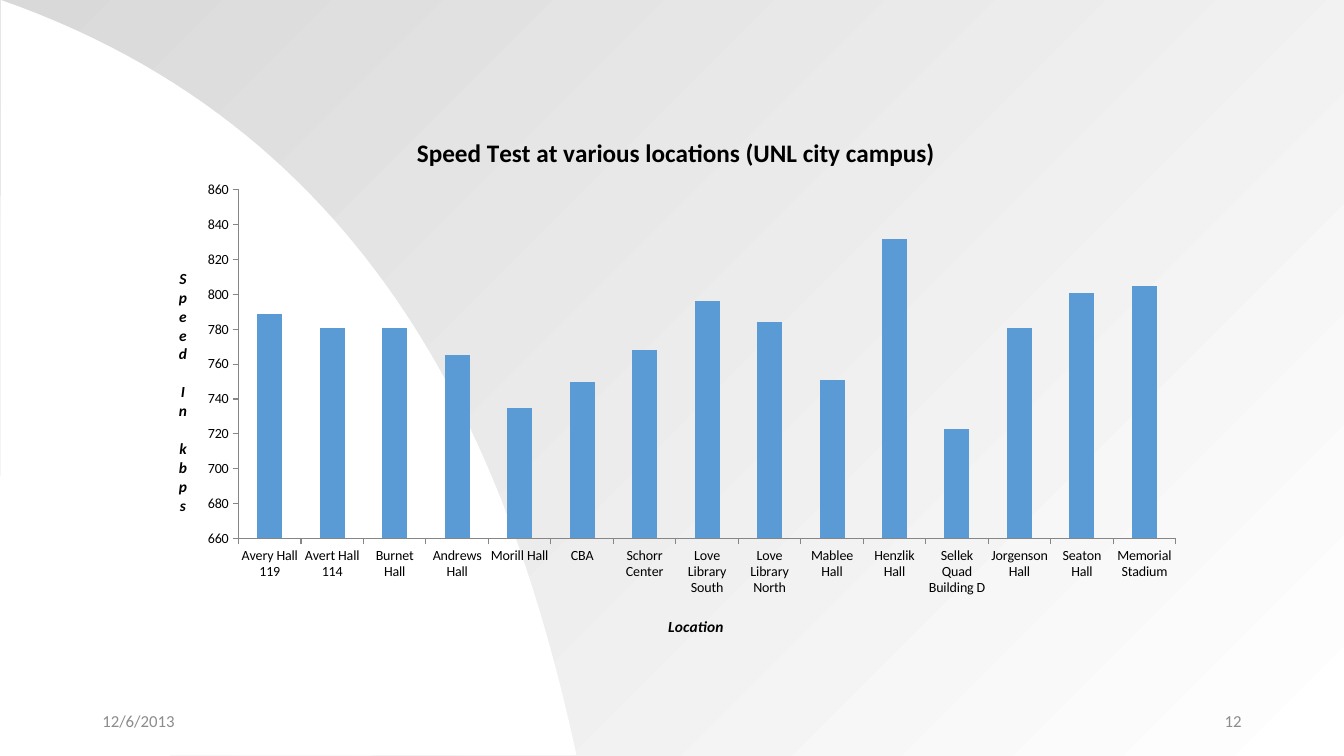
import pptx
import pptx.chart.data
import pptx.dml.color
import pptx.enum.chart
import pptx.enum.text
import pptx.oxml
import pptx.oxml.ns
import pptx.util

Pt = pptx.util.Pt

COLORS = {"white": "FFFFFF", "shade": "D9D9D9", "bar": "5B9BD5",
          "axis": "868686", "text": "000000", "footer": "8C8C8C"}
FONT = "Calibri"
SLIDE_SIZE = (960, 540)

TITLE = "Speed Test at various locations (UNL city campus)"
LOCATION_TITLE = "Location"
SPEED_TITLE = "Speed In kbps"
SPEEDS = {
    "Avery Hall 119": 789, "Avert Hall 114": 781, "Burnet Hall": 781,
    "Andrews Hall": 765, "Morill Hall": 735, "CBA": 750,
    "Schorr Center": 768, "Love Library South": 796,
    "Love Library North": 784, "Mablee Hall": 751, "Henzlik Hall": 832,
    "Sellek Quad Building D": 723, "Jorgenson Hall": 781,
    "Seaton Hall": 801, "Memorial Stadium": 805,
}
CHART_BOX = (110.9, 82.1, 743.8, 383)
# Fractions of the chart area
PLOT_LAYOUT = {"x": 0.08, "y": 0.14, "w": 0.9, "h": 0.65}
LOCATION_LAYOUT = {"x": 0.49, "y": 0.93}
SPEED_LAYOUT = {"x": 0.02, "y": 0.28}

FOOTERS = [
    ("12/6/2013", 66, pptx.enum.text.PP_ALIGN.LEFT),
    ("12", 678, pptx.enum.text.PP_ALIGN.RIGHT),
]
FOOTER_TOP, FOOTER_WIDTH, FOOTER_HEIGHT = 500.5, 216, 28.8

SWEEP = [(0.5, 0), (278.6, 97.2), (367.9, 337.7), (411.8, 539.5)]
SWEEP_STEPS = 60


def rgb(name):
    return pptx.dml.color.RGBColor.from_string(COLORS[name])


def apply_format(target, values):
    for name, value in values.items():
        setattr(target, name, value)


def bezier_point(controls, t):
    weights = ((1 - t) ** 3, 3 * t * (1 - t) ** 2, 3 * t ** 2 * (1 - t), t ** 3)
    return tuple(sum(w * point[axis] for w, point in zip(weights, controls))
                 for axis in (0, 1))


def place(element, index, fractions):
    """Give a chart part a manual layout, as child number index."""
    for old in element.xpath("./c:layout"):
        element.remove(old)
    modes = "".join(f'<c:{k}Mode val="edge"/>' for k in ("x", "y"))
    target = '<c:layoutTarget val="inner"/>' if "w" in fractions else ""
    sizes = "".join(f'<c:{k} val="{v}"/>' for k, v in fractions.items())
    element.insert(index, pptx.oxml.parse_xml(
        f'<c:layout {pptx.oxml.ns.nsdecls("c")}><c:manualLayout>'
        f'{target}{modes}{sizes}</c:manualLayout></c:layout>'))


def add_background(slide):
    fill = slide.background.fill
    fill.gradient()
    fill.gradient_angle = 135
    for stop, position, name in zip(fill.gradient_stops, (0, 1), ("white", "shade")):
        stop.position = position
        stop.color.rgb = rgb(name)

    curve = [bezier_point(SWEEP, i / SWEEP_STEPS) for i in range(SWEEP_STEPS + 1)]
    outline = [(Pt(x), Pt(y)) for x, y in curve + [(0, SLIDE_SIZE[1])]]
    builder = slide.shapes.build_freeform(*outline[0])
    builder.add_line_segments(outline[1:], close=True)
    sweep = builder.convert_to_shape()
    sweep.shadow.inherit = False
    sweep.fill.solid()
    sweep.fill.fore_color.rgb = rgb("white")
    sweep.line.fill.background()


def set_title(title, wording, values):
    title.text_frame.text = wording
    font = title.text_frame.paragraphs[0].runs[0].font
    apply_format(font, {"name": FONT, "bold": True, **values})
    font.color.rgb = rgb("text")


def add_speed_chart(slide):
    data = pptx.chart.data.CategoryChartData()
    data.categories = list(SPEEDS)
    data.add_series("Series 1", list(SPEEDS.values()))
    chart = slide.shapes.add_chart(
        pptx.enum.chart.XL_CHART_TYPE.COLUMN_CLUSTERED,
        *map(Pt, CHART_BOX), data).chart
    apply_format(chart, {"has_legend": False, "has_title": True})
    apply_format(chart.font, {"name": FONT, "size": Pt(10)})
    chart.font.color.rgb = rgb("text")
    set_title(chart.chart_title, TITLE, {"size": Pt(18)})

    plot = chart.plots[0]
    apply_format(plot, {"gap_width": 150, "vary_by_categories": False})
    bars = plot.series[0].format.fill
    bars.solid()
    bars.fore_color.rgb = rgb("bar")

    apply_format(chart.value_axis, {"minimum_scale": 660, "maximum_scale": 860,
                                    "major_unit": 20})
    for axis, wording, layout in (
            (chart.category_axis, LOCATION_TITLE, LOCATION_LAYOUT),
            (chart.value_axis, SPEED_TITLE, SPEED_LAYOUT)):
        apply_format(axis, {
            "has_major_gridlines": False, "has_title": True,
            "major_tick_mark": pptx.enum.chart.XL_TICK_MARK.OUTSIDE,
            "minor_tick_mark": pptx.enum.chart.XL_TICK_MARK.NONE})
        axis.format.line.color.rgb = rgb("axis")
        axis.format.line.width = Pt(0.75)
        set_title(axis.axis_title, wording, {"size": Pt(11), "italic": True})
        place(axis.axis_title.element, 1, layout)

    # Stack the letters of the speed title
    stacked = chart.value_axis.axis_title.element.xpath(".//a:bodyPr")[0]
    stacked.set("rot", "0")
    stacked.set("vert", "wordArtVert")
    place(chart.element.xpath(".//c:plotArea")[0], 0, PLOT_LAYOUT)


def add_footer(slide, wording, left, alignment):
    box = slide.shapes.add_textbox(Pt(left), Pt(FOOTER_TOP),
                                   Pt(FOOTER_WIDTH), Pt(FOOTER_HEIGHT))
    apply_format(box.text_frame, {
        "word_wrap": True, "text": wording,
        "vertical_anchor": pptx.enum.text.MSO_ANCHOR.MIDDLE})
    paragraph = box.text_frame.paragraphs[0]
    paragraph.alignment = alignment
    font = paragraph.runs[0].font
    apply_format(font, {"name": FONT, "size": Pt(12)})
    font.color.rgb = rgb("footer")


def main():
    deck = pptx.Presentation()
    deck.slide_width, deck.slide_height = map(Pt, SLIDE_SIZE)
    slide = deck.slides.add_slide(deck.slide_layouts[6])
    add_background(slide)
    add_speed_chart(slide)
    for footer in FOOTERS:
        add_footer(slide, *footer)
    deck.save("out.pptx")


if __name__ == "__main__":
    main()
